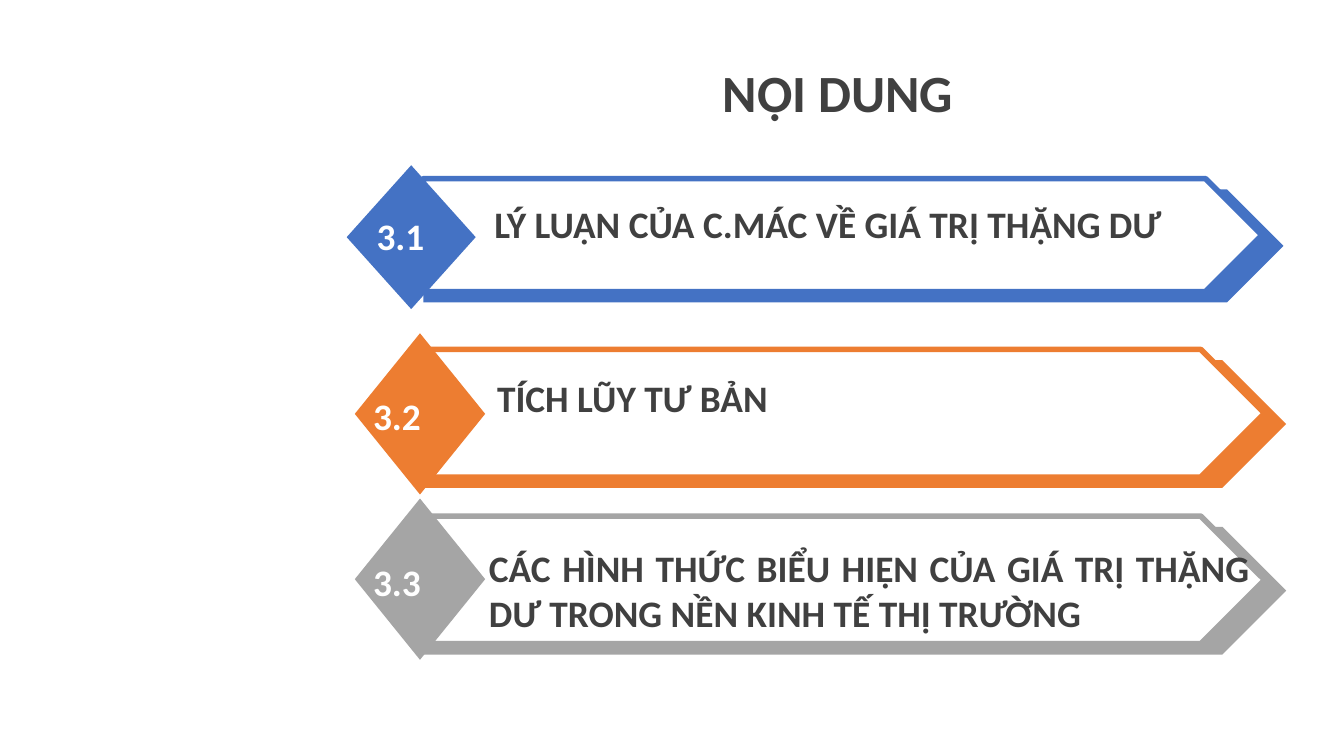
from dataclasses import dataclass
from typing import NamedTuple

from pptx import Presentation
from pptx.dml.color import RGBColor
from pptx.enum.shapes import MSO_SHAPE
from pptx.enum.text import MSO_ANCHOR, MSO_AUTO_SIZE, PP_ALIGN
from pptx.util import Inches, Pt

PENTAGON, DIAMOND = MSO_SHAPE.PENTAGON, MSO_SHAPE.DIAMOND
TOP, MIDDLE = MSO_ANCHOR.TOP, MSO_ANCHOR.MIDDLE
LEFT, CENTER, JUSTIFY = PP_ALIGN.LEFT, PP_ALIGN.CENTER, PP_ALIGN.JUSTIFY
GROW = MSO_AUTO_SIZE.SHAPE_TO_FIT_TEXT

FONT = "Calibri"
COLORS = {
    "text": "404040",
    "white": "FFFFFF",
    "blue": "4472C4",
    "orange": "ED7D31",
    "gray": "A5A5A5",
}
SHADE_DROP, SHADE_EXTRA = 0.08, 0.16  # offset and extra width of the back arrow


class Box(NamedTuple):
    left: float
    top: float
    width: float
    height: float

    def lengths(self) -> list:
        return [Inches(value) for value in self]


@dataclass
class Banner:
    number: str
    caption: str
    color: str
    arrow: Box
    diamond: Box
    number_box: Box
    caption_box: Box
    align: PP_ALIGN = JUSTIFY


BANNERS = [
    Banner("3.1", "LÝ LUẬN CỦA C.MÁC VỀ GIÁ TRỊ THẶNG DƯ", "blue",
           Box(3.15, 1.33, 6.24, 0.84), Box(2.58, 1.23, 0.96, 1.07),
           Box(2.64, 1.53, 0.68, 0.44), Box(3.58, 1.45, 5.8, 0.44), LEFT),
    Banner("3.2 ", "TÍCH LŨY TƯ BẢN", "orange",
           Box(3.15, 2.6, 6.26, 0.95), Box(2.64, 2.48, 0.97, 1.2),
           Box(2.64, 2.87, 0.69, 0.44), Box(3.6, 2.74, 5.56, 0.44)),
    Banner("3.3 ", "CÁC HÌNH THỨC BIỂU HIỆN CỦA GIÁ TRỊ THẶNG DƯ "
           "TRONG NỀN KINH TẾ THỊ TRƯỜNG", "gray",
           Box(3.15, 3.84, 6.26, 0.95), Box(2.64, 3.71, 0.97, 1.2),
           Box(2.64, 4.11, 0.69, 0.44), Box(3.54, 4.01, 5.86, 0.77)),
]


def rgb(name: str) -> RGBColor:
    return RGBColor.from_string(COLORS[name])


def add_figure(shapes, kind: MSO_SHAPE, box: Box, fill: str, line: str = "") -> None:
    figure = shapes.add_shape(kind, *box.lengths())
    figure.shadow.inherit = False
    figure.fill.solid()
    figure.fill.fore_color.rgb = rgb(fill)
    if line:
        figure.line.color.rgb = rgb(line)
        figure.line.width = Pt(3)
    else:
        figure.line.fill.background()


def add_text(shapes, box: Box, text: str, color: str, align: PP_ALIGN,
             anchor: MSO_ANCHOR, size: int = 20, grow: bool = True) -> None:
    frame = shapes.add_textbox(*box.lengths()).text_frame
    frame.word_wrap = True
    frame.vertical_anchor = anchor
    if grow:
        frame.auto_size = GROW
    frame.text = text
    para = frame.paragraphs[0]
    para.alignment = align
    for span in para.runs:
        span.font.name = FONT
        span.font.size = Pt(size)
        span.font.bold = True
        span.font.color.rgb = rgb(color)


def add_banner(page, banner: Banner) -> None:
    shapes = page.shapes.add_group_shape().shapes
    arrow = banner.arrow
    shade = arrow._replace(top=arrow.top + SHADE_DROP, width=arrow.width + SHADE_EXTRA)
    add_figure(shapes, PENTAGON, shade, banner.color)
    add_figure(shapes, PENTAGON, arrow, "white", banner.color)
    add_figure(shapes, DIAMOND, banner.diamond, banner.color)
    add_text(shapes, banner.number_box, banner.number, "white", CENTER, MIDDLE)
    add_text(shapes, banner.caption_box, banner.caption, "text", banner.align, TOP)


def main() -> None:
    deck = Presentation()
    # Widescreen page, 16:9
    deck.slide_width = Inches(10)
    deck.slide_height = Inches(10 * 9 / 16)
    page = deck.slides.add_slide(deck.slide_layouts[6])

    # Heading
    add_text(page.shapes, Box(3.32, 0.45, 5.83, 0.47), "NỘI DUNG", "text",
             CENTER, MIDDLE, size=28, grow=False)

    # Numbered contents
    for banner in BANNERS:
        add_banner(page, banner)

    deck.save("out.pptx")


if __name__ == "__main__":
    main()
